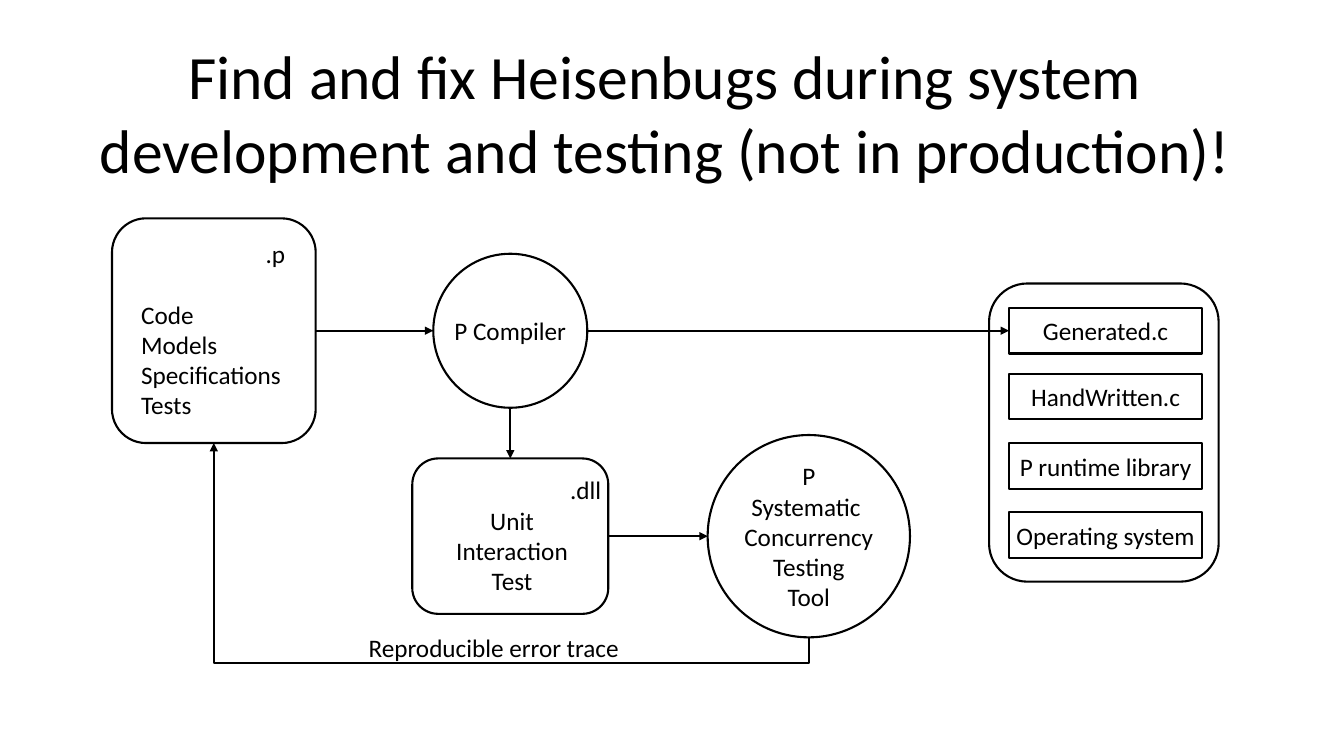
from lxml.etree import SubElement
from pptx import Presentation
from pptx.dml.color import RGBColor
from pptx.enum.shapes import MSO_CONNECTOR as Link, MSO_SHAPE as Form
from pptx.enum.text import MSO_ANCHOR as Anchor, PP_ALIGN as Align
from pptx.oxml.ns import qn
from pptx.util import Pt

LEFT, CENTER, RIGHT = Align.LEFT, Align.CENTER, Align.RIGHT
TOP, WEST, BOTTOM, EAST = range(4)


def color(value):
    return RGBColor.from_string(value)


class Diagram:
    font = "Calibri"
    ink = "000000"
    stroke = 1.5

    def __init__(self, page):
        self.page = page

    def add_lines(self, frame, lines, size=18):
        """Each line is (wording, alignment, space after)."""
        frame.margin_left = frame.margin_right = Pt(7.2)
        frame.margin_top = frame.margin_bottom = Pt(3.6)
        for index, (wording, align, gap) in enumerate(lines):
            para = frame.add_paragraph() if index else frame.paragraphs[0]
            para.alignment = align
            para.space_after = Pt(gap)
            span = para.add_run()
            span.text = wording
            span.font.name = self.font
            span.font.size = Pt(size)
            span.font.color.rgb = color(self.ink)

    def text(self, left, top, width, height, lines, size=18):
        box = self.page.shapes.add_textbox(Pt(left), Pt(top), Pt(width), Pt(height))
        box.text_frame.word_wrap = True
        self.add_lines(box.text_frame, lines, size)

    def node(self, form, left, top, width, height, words=()):
        shape = self.page.shapes.add_shape(form, Pt(left), Pt(top), Pt(width), Pt(height))
        shape.shadow.inherit = False
        shape.fill.background()
        shape.line.color.rgb = color(self.ink)
        shape.line.width = Pt(self.stroke)
        if words:
            frame = shape.text_frame
            frame.word_wrap = False
            frame.vertical_anchor = Anchor.MIDDLE
            self.add_lines(frame, [(word, CENTER, 0) for word in words])
        return shape

    def arrow(self, start, end, begin=None, finish=None, kind=Link.STRAIGHT):
        """begin and finish are (shape, side) pairs to join to."""
        line = self.page.shapes.add_connector(kind, *map(Pt, start + end))
        if begin:
            line.begin_connect(*begin)
        if finish:
            line.end_connect(*finish)
        line.line.color.rgb = color(self.ink)
        line.line.width = Pt(self.stroke)
        properties = line._element.spPr
        SubElement(properties.find(qn("a:ln")), qn("a:tailEnd"), type="triangle")
        SubElement(properties, qn("a:effectLst"))
        return line

    def loop_arrow(self, start, end, drop):
        """Leaves start downwards by drop, runs across and rises to end."""
        rise, run = start[1] - end[1], start[0] - end[0]
        middle_x, middle_y = (start[0] + end[0]) / 2, (start[1] + end[1]) / 2
        # The elbow is drawn upright, then turned a quarter about its centre
        line = self.arrow((middle_x + rise / 2, middle_y - run / 2),
                          (middle_x - rise / 2, middle_y + run / 2), kind=Link.ELBOW)
        properties = line._element.spPr
        properties.find(qn("a:xfrm")).set("rot", str(90 * 60000))
        guides = properties.find(qn("a:prstGeom")).find(qn("a:avLst"))
        bend = round(-drop / rise * 100000)
        SubElement(guides, qn("a:gd"), name="adj1", fmla=f"val {bend}")


def main():
    deck = Presentation()
    deck.slide_width, deck.slide_height = Pt(960), Pt(540)
    diagram = Diagram(deck.slides.add_slide(deck.slide_layouts[6]))

    # Title
    diagram.text(59.75, 23.75, 831, 114, [
        ("Find and fix Heisenbugs during system", CENTER, 0),
        ("development and testing (not in production)!", CENTER, 0)], 44)

    # Rows and columns shared by the nodes
    upper, lower = 236.25, 383
    compiler_x, tool_x = 364.5, 577.75

    # Source files
    source = diagram.node(Form.ROUNDED_RECTANGLE, 80, 156, 145.5, 160.5)
    parts = ("Code", "Models", "Specifications", "Tests")
    diagram.text(93.75, 167, 117, 138,
                 [(".p", RIGHT, 21.5)] + [(part, LEFT, 0) for part in parts])

    # Compiler and testing tool
    compiler, tool = 110, 144.5
    diagram.node(Form.OVAL, compiler_x - compiler / 2, upper - compiler / 2,
                 compiler, compiler, ["P Compiler"])
    diagram.node(Form.OVAL, tool_x - tool / 2, lower - tool / 2, tool, tool,
                 ["P", "Systematic ", "Concurrency", "Testing", "Tool"])

    # Compiled tests
    library = diagram.node(Form.ROUNDED_RECTANGLE, compiler_x - 70, lower - 55.5, 140, 111)
    diagram.text(299, 335.5, 137.5, 94.5, [(".dll", RIGHT, 0)] + [
        (word, CENTER, 0) for word in ("Unit ", "Interaction ", "Test ")])

    # Program stack
    diagram.node(Form.ROUNDED_RECTANGLE, 706.5, 202.5, 164, 213)
    layers = {"Generated.c": 220, "HandWritten.c": 267,
              "P runtime library": 316.75, "Operating system": 366}
    stack = [diagram.node(Form.RECTANGLE, 720.75, top, 138, 32.5, [name])
             for name, top in layers.items()]

    # Flow
    west, east = compiler_x - compiler / 2, compiler_x + compiler / 2
    diagram.arrow((225.5, upper), (west, upper), begin=(source, EAST))
    diagram.arrow((east, upper), (720.75, upper), finish=(stack[0], WEST))
    diagram.arrow((compiler_x, upper + compiler / 2), (compiler_x, lower - 55.5),
                  finish=(library, TOP))
    diagram.arrow((compiler_x + 70, lower), (tool_x - tool / 2, lower),
                  begin=(library, EAST))

    # Feedback
    diagram.loop_arrow((tool_x, lower + tool / 2), (152.75, 316.5), 18)
    diagram.text(256.25, 447.75, 195, 29, [("Reproducible error trace", LEFT, 0)])

    deck.save("out.pptx")


if __name__ == "__main__":
    main()
